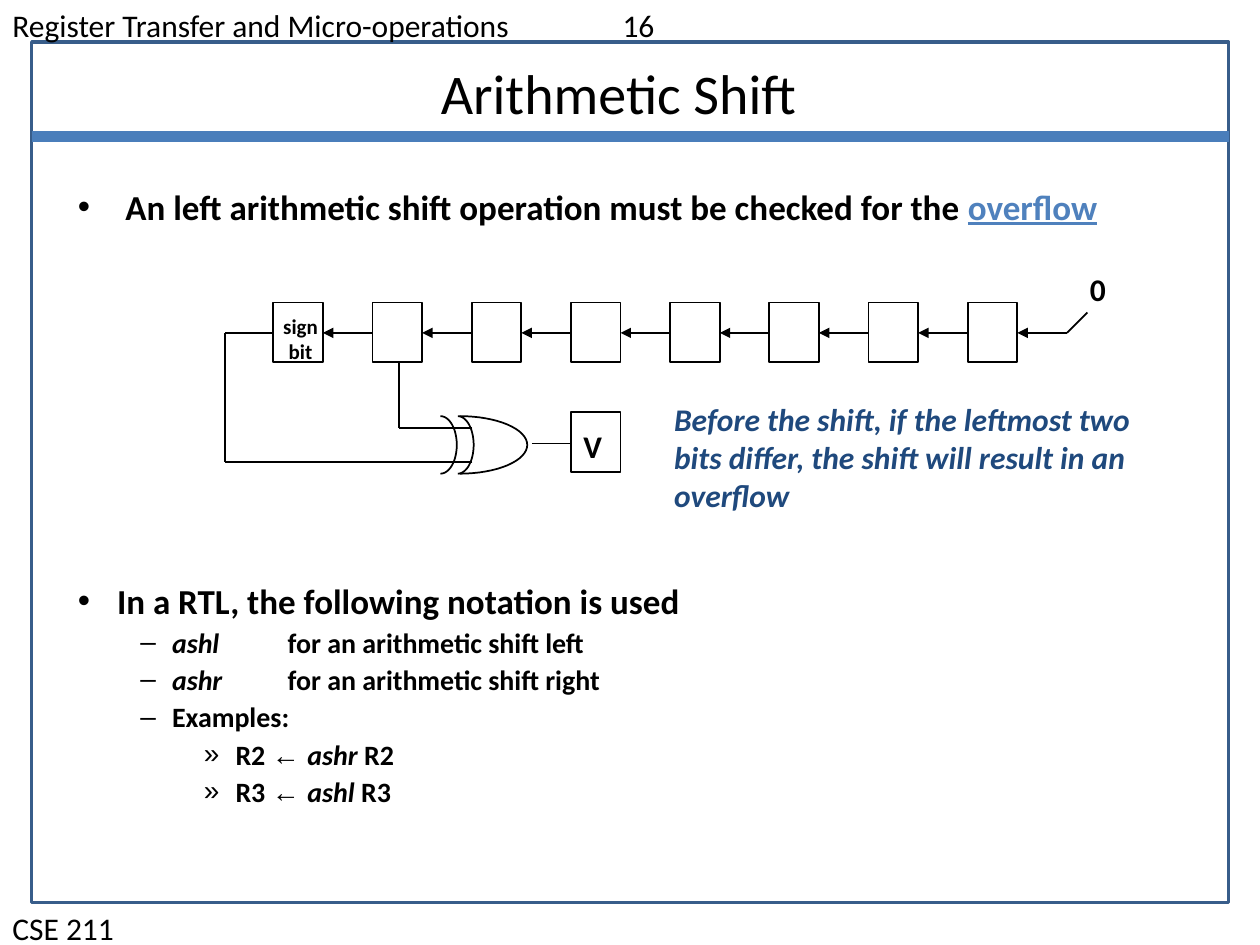
import math
import pptx
import pptx.util
import pptx.oxml
import pptx.oxml.ns
import pptx.dml.color
import pptx.enum.shapes
import pptx.enum.text
from pptx.util import Cm

BLACK = pptx.dml.color.RGBColor(0x00, 0x00, 0x00)
FRAME_BLUE = pptx.dml.color.RGBColor(0x38, 0x5D, 0x8A)
RULE_BLUE = pptx.dml.color.RGBColor(0x4A, 0x7E, 0xBB)
LINK_BLUE = pptx.dml.color.RGBColor(0x4F, 0x81, 0xBD)
NOTE_BLUE = pptx.dml.color.RGBColor(0x1F, 0x49, 0x7D)
CENTER = pptx.enum.text.PP_ALIGN.CENTER


class SlideBuilder:
    font = "Calibri"
    line_width = 1

    def __init__(self, page):
        self.page = page
        self.shapes = page.shapes

    def add_xml(self, parent, tag, **attributes):
        element = pptx.oxml.parse_xml(f"<a:{tag} {pptx.oxml.ns.nsdecls('a')}/>")
        for name, value in attributes.items():
            element.set(name, str(value))
        parent.append(element)
        return element

    def outline(self, shape, color, width):
        shape.line.color.rgb = color
        shape.line.width = pptx.util.Pt(width)

    def rectangle(self, left, top, width, height, color=BLACK, line_width=line_width):
        kind = pptx.enum.shapes.MSO_SHAPE.RECTANGLE
        shape = self.shapes.add_shape(kind, Cm(left), Cm(top), Cm(width), Cm(height))
        shape.shadow.inherit = False
        shape.fill.background()
        self.outline(shape, color, line_width)

    def line(self, start, end, color=BLACK, width=line_width, arrow=False):
        kind = pptx.enum.shapes.MSO_CONNECTOR.STRAIGHT
        points = [Cm(value) for value in (*start, *end)]
        connector = self.shapes.add_connector(kind, *points)
        self.outline(connector, color, width)
        if arrow:
            self.add_xml(connector.line._get_or_add_ln(), "tailEnd", type="triangle")
        self.add_xml(connector._element.spPr, "effectLst")

    def arc(self, left, middle, width, half_height, steps=32):
        points = []
        for step in range(steps + 1):
            angle = math.pi * step / steps
            x = left + width * math.sin(angle)
            y = middle - half_height * math.cos(angle)
            points.append((Cm(x), Cm(y)))
        builder = self.shapes.build_freeform(*points[0])
        builder.add_line_segments(points[1:], close=False)
        shape = builder.convert_to_shape()
        shape.shadow.inherit = False
        shape.fill.background()
        self.outline(shape, BLACK, self.line_width)

    def text(self, left, top, width, height, paragraphs, wrap=True, **style):
        box = self.shapes.add_textbox(Cm(left), Cm(top), Cm(width), Cm(height))
        frame = box.text_frame
        frame.word_wrap = wrap
        for index, (spans, layout) in enumerate(paragraphs):
            para = frame.paragraphs[0] if index == 0 else frame.add_paragraph()
            self.lay_out(para, **layout)
            for words, changes in spans:
                span = para.add_run()
                span.text = words
                self.format(span.font, {**style, **changes})

    def format(self, font, changes):
        values = {"name": self.font, "size": 18, "color": BLACK, **changes}
        font.color.rgb = values.pop("color")
        values["size"] = pptx.util.Pt(values["size"])
        for name, value in values.items():
            setattr(font, name, value)

    def lay_out(self, para, bullet=None, margin=0, hang=0, tab=None, **layout):
        for name, value in layout.items():
            setattr(para, name, value)
        properties = para._p.get_or_add_pPr()
        if bullet:
            properties.set("marL", str(Cm(margin)))
            properties.set("indent", str(Cm(-hang)))
            self.add_xml(properties, "buFont", typeface="Arial")
            self.add_xml(properties, "buChar", char=bullet)
        if tab:
            stops = self.add_xml(properties, "tabLst")
            self.add_xml(stops, "tab", pos=Cm(tab), algn="l")


def plain(words, **layout):
    return [(words, {})], layout


deck = pptx.Presentation()
deck.slide_width = Cm(25.4)
deck.slide_height = Cm(19.05)
slide = SlideBuilder(deck.slides.add_slide(deck.slide_layouts[6]))

slide.rectangle(0.64, 0.85, 24.13, 17.35, FRAME_BLUE, 2)
slide.text(0, 0, 25.4, 1.03, [plain("Register Transfer and Micro-operations\t16", tab=12.3)])
slide.text(0, 18.21, 25.4, 1.03, [plain("CSE 211")])
slide.line((0.64, 2.75), (24.77, 2.75), RULE_BLUE, 6.75)
slide.text(1.9, 1.06, 21.4, 1.62, [plain("Arithmetic Shift ", alignment=CENTER)], size=32)

overflow_point = [
    ("An left arithmetic shift operation must be checked for the ", {}),
    ("overflow", {"color": LINK_BLUE, "underline": True}),
]
overflow_layout = dict(bullet="•", margin=0.96, hang=0.96, space_before=pptx.util.Pt(5))
slide.text(1.32, 3.61, 22.2, 2.7, [(overflow_point, overflow_layout)], size=20, bold=True)

CELL_COUNT, CELL_LEFT, CELL_TOP, CELL_PITCH = 8, 5.51, 6.1, 2
CELL_WIDTH, CELL_HEIGHT = 1, 1.2
SHIFT_Y = 6.71
for cell in range(CELL_COUNT):
    left = CELL_LEFT + cell * CELL_PITCH
    slide.rectangle(left, CELL_TOP, CELL_WIDTH, CELL_HEIGHT)
    slide.line((left + CELL_PITCH, SHIFT_Y), (left + CELL_WIDTH, SHIFT_Y), arrow=True)

INPUT_X = CELL_LEFT + CELL_COUNT * CELL_PITCH
SIGN_X, NEXT_X, GATE_X = 4.53, 8.04, 9.52
NEXT_Y, SIGN_Y, OUTPUT_Y = 8.63, 9.32, 8.94
OVERFLOW_LEFT = CELL_LEFT + 3 * CELL_PITCH
wires = [
    ((INPUT_X, SHIFT_Y), (21.92, 6.3)),
    ((CELL_LEFT, SHIFT_Y), (SIGN_X, SHIFT_Y)),
    ((SIGN_X, SHIFT_Y), (SIGN_X, SIGN_Y)),
    ((GATE_X, SIGN_Y), (SIGN_X, SIGN_Y)),
    ((NEXT_X, CELL_TOP + CELL_HEIGHT), (NEXT_X, NEXT_Y)),
    ((GATE_X, NEXT_Y), (NEXT_X, NEXT_Y)),
    ((10.72, OUTPUT_Y), (OVERFLOW_LEFT, OUTPUT_Y)),
]
for start, end in wires:
    slide.line(start, end)

for left, width in ((9.27, 1.36), (9.23, 0.32), (8.88, 0.33)):
    slide.arc(left, 8.97, width, 0.58)

slide.rectangle(OVERFLOW_LEFT, 8.31, CELL_WIDTH, CELL_HEIGHT)
slide.text(21.72, 5.31, 0.81, 1.03, [plain("0")], wrap=False, bold=True)
slide.text(OVERFLOW_LEFT, 8.48, 0.89, 1.03, [plain("V")], wrap=False, bold=True)
sign_label = [plain(word, alignment=CENTER) for word in ("sign", "bit")]
slide.text(5.36, 6.2, 1.4, 1.27, sign_label, wrap=False, size=12, bold=True)

note = [
    "Before the shift, if the leftmost two",
    "bits differ, the shift will result in an",
    "overflow",
]
slide.text(13.34, 7.94, 9.7, 2.54, [plain(words) for words in note], wrap=False,
           color=NOTE_BLUE, bold=True, italic=True)

topic = dict(bullet="•", margin=0.79, hang=0.79, line_spacing=0.8,
             space_before=pptx.util.Pt(7.5))
item = dict(bullet="–", margin=1.9, hang=0.64, tab=4.23, line_spacing=0.8,
            space_before=pptx.util.Pt(6), level=1)
example = {**item, "bullet": "»", "margin": 3.18, "level": 2}
notation = [([("In a RTL, the following notation is used", {"size": 20})], topic)]
for operation, direction in (("ashl", "left"), ("ashr", "right")):
    spans = [(operation + "\t", {"italic": True}),
             ("for an arithmetic shift " + direction, {})]
    notation.append((spans, item))
notation.append(plain("Examples:", **item))
for register, operation in (("R2", "ashr"), ("R3", "ashl")):
    spans = [(register + " ", {}), ("← ", {"name": "Arial"}),
             (operation, {"italic": True}), (" " + register, {})]
    notation.append((spans, example))
slide.text(1.32, 11.72, 22.2, 5, notation, size=16, bold=True)

deck.save("out.pptx")
